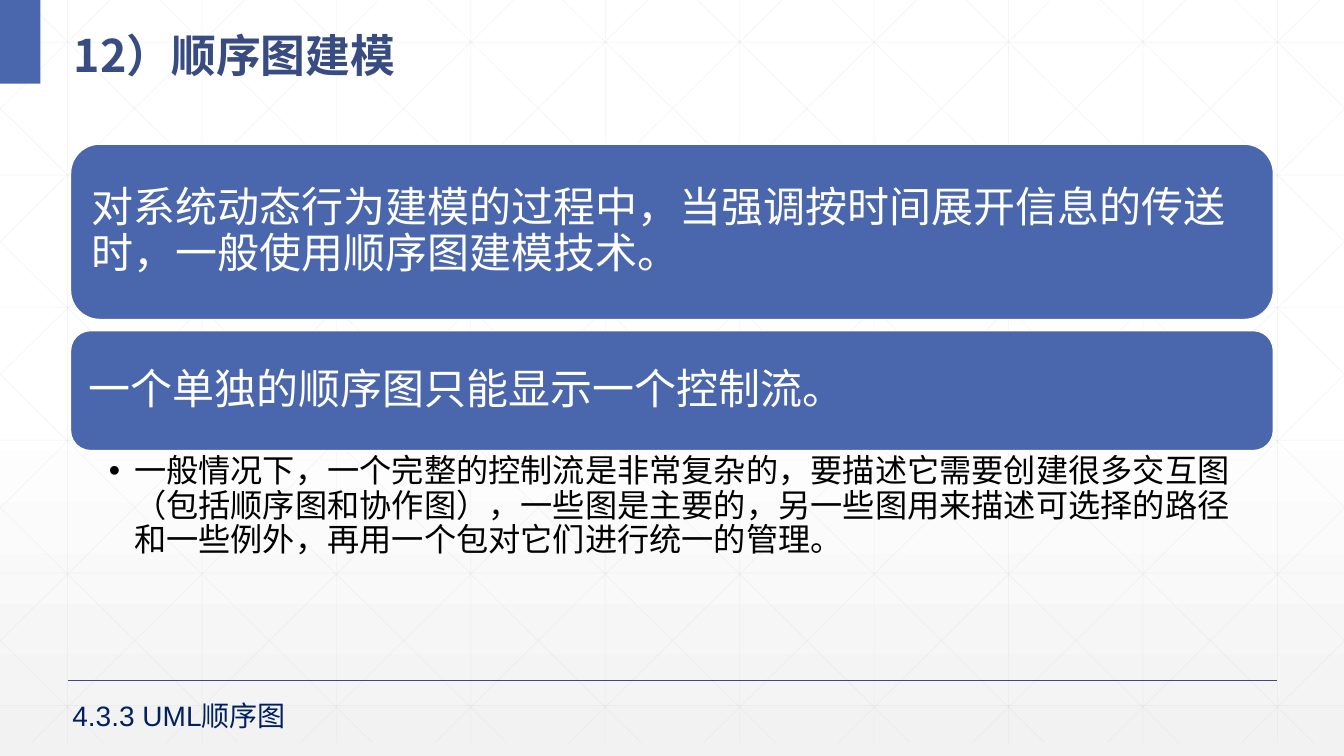
from lxml.etree import SubElement
from pptx import Presentation
from pptx.dml.color import RGBColor
from pptx.enum.shapes import MSO_CONNECTOR, MSO_SHAPE
from pptx.enum.text import MSO_ANCHOR, MSO_AUTO_SIZE, PP_ALIGN
from pptx.oxml.ns import qn
from pptx.util import Emu, Pt

EMU_PER_PX = 9144
WIDTH, HEIGHT = 1333, 750
GRID_BOTTOM = 737
GRID_STEP = 133.33
DIAGONAL_RUN = 1.01  # horizontal distance per unit of height

BLUE = RGBColor(0x4A, 0x66, 0xAC)
DARK_BLUE = RGBColor(0x38, 0x4C, 0x81)
NAVY = RGBColor(0x00, 0x20, 0x60)
GRID_GRAY = RGBColor(0xD9, 0xD9, 0xD9)
WHITE = RGBColor(0xFF, 0xFF, 0xFF)
BLACK = RGBColor(0x00, 0x00, 0x00)

LATIN_FONT = "Arial"
CHINESE_FONT = "Noto Sans CJK SC"


def px(value):
    return Emu(round(value * EMU_PER_PX))


def set_background(slide):
    fill = slide.background.fill
    fill.gradient()
    fill.gradient_angle = 270
    stop_list = fill.gradient_stops[0].color
    stop_list.rgb = WHITE
    gradient = slide.element.find(".//" + qn("a:gsLst"))
    for stop in list(gradient):
        gradient.remove(stop)
    for position, color in ((0, "FFFFFF"), (53, "FFFFFF"), (100, "F2F2F2")):
        stop = SubElement(gradient, qn("a:gs"), pos=str(position * 1000))
        SubElement(stop, qn("a:srgbClr"), val=color)


def add_line(slide, start, end, color, width, opacity=100):
    line = slide.shapes.add_connector(
        MSO_CONNECTOR.STRAIGHT, *map(px, start), *map(px, end))
    line.line.color.rgb = color
    line.line.width = Pt(width)
    properties = line.element.spPr
    SubElement(properties, qn("a:effectLst"))
    if opacity < 100:
        color_element = properties.find(".//" + qn("a:srgbClr"))
        SubElement(color_element, qn("a:alpha"), val=str(opacity * 1000))


def clipped_diagonal(top_x, run):
    """Return the ends of a diagonal, cut at the slide's left and right edges."""
    heights = sorted(min(max((edge - top_x) / run, 0), GRID_BOTTOM)
                     for edge in (0, WIDTH))
    return [(top_x + run * y, y) for y in heights]


def add_grid(slide):
    lines = [((67 + GRID_STEP * column, 0), (67 + GRID_STEP * column, GRID_BOTTOM))
             for column in range(10)]
    lines += [((0, 42 + 131.6 * row), (WIDTH, 42 + 131.6 * row)) for row in range(6)]
    lines += [clipped_diagonal(25 + GRID_STEP * index, DIAGONAL_RUN)
              for index in range(-5, 10)]
    lines += [clipped_diagonal(109 + GRID_STEP * index, -DIAGONAL_RUN)
              for index in range(15)]
    for start, end in lines:
        add_line(slide, start, end, GRID_GRAY, 0.5, opacity=25)


def add_box(slide, kind, left, top, width, height):
    shape = slide.shapes.add_shape(kind, px(left), px(top), px(width), px(height))
    shape.shadow.inherit = False
    shape.fill.solid()
    shape.fill.fore_color.rgb = BLUE
    shape.line.fill.background()
    return shape


def add_text_box(slide, left, top, width, height):
    box = slide.shapes.add_textbox(px(left), px(top), px(width), px(height))
    box.text_frame.word_wrap = True
    return box.text_frame


def set_margins(frame, left, top, right, bottom):
    frame.margin_left, frame.margin_top = px(left), px(top)
    frame.margin_right, frame.margin_bottom = px(right), px(bottom)


def write(frame, text, size, color, spacing=1.0, font=LATIN_FONT, bold=False):
    paragraph = frame.paragraphs[0]
    paragraph.text = text
    paragraph.alignment = PP_ALIGN.LEFT
    paragraph.line_spacing = spacing
    paragraph.font.size = Pt(size)
    paragraph.font.bold = bold
    paragraph.font.color.rgb = color
    paragraph.font.name = font
    defaults = paragraph._p.pPr.find(qn("a:defRPr"))
    latin = defaults.find(qn("a:latin"))
    latin.addnext(latin.makeelement(qn("a:ea"), {"typeface": CHINESE_FONT}))


def add_bullet(paragraph, indent):
    properties = paragraph._p.get_or_add_pPr()
    properties.set("marL", str(px(indent)))
    properties.set("indent", str(-px(indent)))
    SubElement(properties, qn("a:buFont"), typeface=LATIN_FONT)
    SubElement(properties, qn("a:buChar"), char="•")


def add_title(slide, text):
    title = slide.shapes.title
    title.left, title.top, title.width, title.height = map(px, (63, 10, 1242, 73))
    frame = title.text_frame
    frame.word_wrap = True
    frame.auto_size = MSO_AUTO_SIZE.NONE
    frame.vertical_anchor = MSO_ANCHOR.MIDDLE
    write(frame, text, 32, DARK_BLUE, 1.3, CHINESE_FONT, True)
    title.element.getparent().append(title.element)  # in front of the grid


def add_statement(slide, top, height, text):
    shape = add_box(slide, MSO_SHAPE.ROUNDED_RECTANGLE, 70, top, 1193, height)
    shape.line.color.rgb = WHITE
    shape.line.width = Pt(1)
    frame = shape.text_frame
    frame.word_wrap = True
    frame.vertical_anchor = MSO_ANCHOR.MIDDLE
    set_margins(frame, 12, 12, 12, 12)
    write(frame, text, 30, WHITE, 0.9)


def add_detail(slide, text):
    frame = add_text_box(slide, 70, 447, 1193, 179)
    set_margins(frame, 38, 4, 23, 4)
    add_bullet(frame.paragraphs[0], 25)
    write(frame, text, 23, BLACK, 0.9)


def main():
    presentation = Presentation()
    presentation.slide_width, presentation.slide_height = px(WIDTH), px(HEIGHT)
    slide = presentation.slides.add_slide(presentation.slide_layouts[5])
    set_background(slide)
    add_grid(slide)
    add_line(slide, (67, 675), (1267, 675), DARK_BLUE, 1)
    add_box(slide, MSO_SHAPE.RECTANGLE, 0, 0, 40, 83)
    add_title(slide, "12）顺序图建模")
    add_statement(slide, 143, 174,
                  "对系统动态行为建模的过程中，当强调按时间展开信息的传送时，"
                  "一般使用顺序图建模技术。")
    add_statement(slide, 328, 119, "一个单独的顺序图只能显示一个控制流。")
    add_detail(slide,
               "一般情况下，一个完整的控制流是非常复杂的，要描述它需要创建很多交互图"
               "（包括顺序图和协作图），一些图是主要的，另一些图用来描述可选择的路径"
               "和一些例外，再用一个包对它们进行统一的管理。")
    write(add_text_box(slide, 62, 688, 604, 44), "4.3.3 UML顺序图", 20, NAVY)
    presentation.save("out.pptx")


if __name__ == "__main__":
    main()
